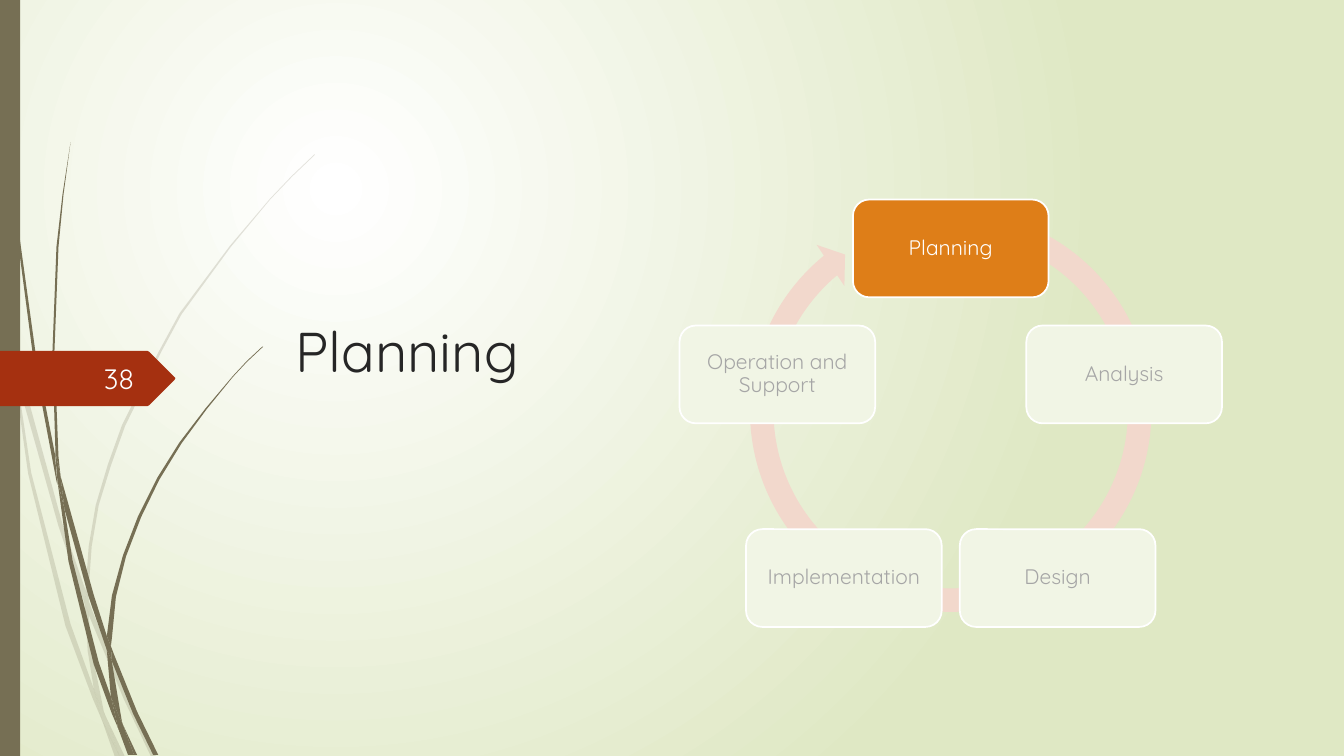
from dataclasses import dataclass
from math import cos, radians, sin

from lxml.etree import SubElement
from pptx import Presentation
from pptx.dml.color import RGBColor
from pptx.enum.shapes import MSO_SHAPE as Shape
from pptx.enum.text import MSO_ANCHOR as Anchor, PP_ALIGN as Align
from pptx.oxml.ns import qn
from pptx.util import Pt

PX = 9144  # EMU in one px, at 100 px to the inch
WIDTH, HEIGHT = 1333, 750


@dataclass(frozen=True)
class Theme:
    font: str = "Quicksand"
    title_size: int = 40
    number_size: int = 20
    stage_size: int = 15
    centre_glow: str = "FFFFFF"
    edge_green: str = "DFE8C4"
    grass: str = "766F54"
    flag: str = "A53010"
    dark_text: str = "262626"
    number_text: str = "FEFFFF"
    ring: str = "F2D8CC"
    active: str = "DE7E18"
    active_text: str = "FFFFFF"
    faded: str = "F1F5E5"
    faded_text: str = "A6A6A6"
    outline: str = "FFFFFF"


# Outlines of the grass pieces, as x, y pairs in px
PALE_GRASS = [
    [(11, 350), (9, 322), (0, 282), (0, 299), (10, 344)],
    [(58, 522), (84, 599), (85, 586), (62, 520), (14, 345), (17, 376)],
    [(92, 607), (88, 596), (88, 610), (123, 694), (150, 751), (155, 751), (127, 692)],
    [(119, 751), (124, 751), (105, 711)],
    [(93, 683), (70, 619), (31, 469), (17, 376), (11, 350), (28, 470), (65, 621),
     (92, 693), (101, 714), (99, 707)],
    [(84, 599), (87, 646), (93, 683), (96, 692), (105, 711), (103, 706), (91, 646),
     (88, 610), (88, 608)],
    [(88, 584), (91, 542), (98, 501), (110, 462), (124, 423), (160, 349), (180, 312),
     (229, 245), (268, 198), (290, 175), (312, 154), (312, 153), (289, 175), (268, 197),
     (228, 244), (178, 311), (158, 348), (121, 422), (107, 461), (95, 501), (88, 542),
     (85, 584), (85, 586), (88, 596)],
    [(101, 714), (114, 751), (119, 751)],
    [(88, 608), (88, 610), (88, 596), (85, 586), (84, 599)],
    [(96, 692), (93, 683), (99, 707), (101, 714), (119, 751), (105, 711)],
]
DARK_GRASS = [
    [(7, 110), (17, 233), (33, 355), (56, 477), (57, 481), (55, 457), (55, 453),
     (36, 355), (19, 232), (8, 109), (5, 48), (4, 0), (3, 0), (4, 48)],
    [(88, 592), (106, 645), (106, 633), (106, 631), (93, 590), (60, 472), (64, 505)],
    [(113, 649), (110, 641), (111, 656), (132, 708), (152, 749), (157, 749), (136, 706)],
    [(110, 691), (98, 657), (72, 556), (64, 505), (57, 477), (68, 557), (93, 659),
     (111, 708), (117, 722), (116, 717)],
    [(60, 472), (58, 453), (54, 349), (58, 245), (63, 193), (70, 141), (62, 193),
     (56, 245), (52, 349), (55, 449)],
    [(133, 749), (136, 749), (122, 719)],
    [(57, 477), (64, 505), (60, 472), (55, 449), (55, 453)],
    [(111, 633), (115, 592), (125, 552), (140, 513), (158, 476), (180, 440), (205, 406),
     (231, 374), (245, 359), (261, 344), (260, 344), (245, 358), (231, 373), (204, 405),
     (178, 439), (156, 474), (137, 512), (122, 551), (111, 591), (106, 631), (110, 641)],
    [(117, 722), (127, 749), (131, 749)],
    [(106, 645), (110, 691), (116, 706), (122, 719), (121, 716), (111, 656), (109, 651)],
    [(106, 645), (109, 651), (111, 656), (110, 641), (106, 631)],
    [(116, 706), (110, 691), (116, 717), (117, 722), (130, 749), (133, 749), (122, 719)],
]
FLAG = [(0, 348), (146, 348), (148, 349), (173, 374), (174, 375), (173, 377),
        (148, 402), (146, 403), (0, 403)]

STAGES = ["Planning", "Analysis", "Design", "Implementation", "Operation and Support"]
CYCLE_X, CYCLE_Y, CYCLE_RADIUS = 943, 427, 181
STAGE_W, STAGE_H = 194, 97


def write(frame, text, size, color, font, align=Align.LEFT, anchor=Anchor.MIDDLE,
          inset=None, line_spacing=None):
    frame.word_wrap = True
    frame.vertical_anchor = anchor
    if inset is not None:
        frame.margin_left = frame.margin_right = inset * PX
        frame.margin_top = frame.margin_bottom = inset * PX
    paragraph = frame.paragraphs[0]
    paragraph.alignment = align
    paragraph.line_spacing = line_spacing
    run = paragraph.add_run()
    run.text = text
    run.font.name = font
    run.font.size = Pt(size)
    run.font.color.rgb = RGBColor.from_string(color)


class SlideBuilder:
    def __init__(self, slide, theme):
        self.slide = slide
        self.theme = theme

    def paint(self, shape, fill, line=None, opacity=None):
        shape.shadow.inherit = False
        shape.fill.solid()
        shape.fill.fore_color.rgb = RGBColor.from_string(fill)
        if opacity is not None:
            color = shape._element.spPr.find(".//" + qn("a:srgbClr"))
            SubElement(color, qn("a:alpha"), val=str(opacity * 1000))
        if line:
            shape.line.color.rgb = RGBColor.from_string(line)
            shape.line.width = Pt(1.25)
        else:
            shape.line.fill.background()

    def background(self, inner, outer):
        """Radial glow centred a quarter of the way across and down."""
        fill = self.slide.background.fill
        fill.gradient()
        for stop, color in zip(fill.gradient_stops, (inner, outer)):
            stop.color.rgb = RGBColor.from_string(color)
        gradient = self.slide._element.find(".//" + qn("a:gradFill"))
        gradient.remove(gradient.find(qn("a:lin")))
        circle = SubElement(gradient, qn("a:path"), path="circle")
        SubElement(circle, qn("a:fillToRect"), l="50000", t="50000", r="100000", b="100000")

    def outline(self, points, fill, opacity=None):
        builder = self.slide.shapes.build_freeform(*points[0], scale=PX)
        builder.add_line_segments(points[1:], close=True)
        self.paint(builder.convert_to_shape(), fill, opacity=opacity)

    def preset(self, kind, box, fill, line=None):
        shape = self.slide.shapes.add_shape(kind, *(n * PX for n in box))
        self.paint(shape, fill, line)
        return shape

    def label(self, text, box, size, color, **text_format):
        frame = self.slide.shapes.add_textbox(*(n * PX for n in box)).text_frame
        write(frame, text, size, color, self.theme.font, **text_format)

    def ring(self, box):
        arrow = self.preset(Shape.CIRCULAR_ARROW, box, self.theme.ring)
        for index, value in enumerate((0.055, 3.307, 138.3, 173.532, 0.058)):
            arrow.adjustments[index] = value

    def stage(self, name, angle, active):
        """Cycle box at an angle in degrees, clockwise from the top."""
        theme = self.theme
        left = round(CYCLE_X + CYCLE_RADIUS * sin(radians(angle)) - STAGE_W / 2)
        top = round(CYCLE_Y - CYCLE_RADIUS * cos(radians(angle)) - STAGE_H / 2)
        box = self.preset(Shape.ROUNDED_RECTANGLE, (left, top, STAGE_W, STAGE_H),
                          theme.active if active else theme.faded, theme.outline)
        write(box.text_frame, name, theme.stage_size,
              theme.active_text if active else theme.faded_text, theme.font,
              align=Align.CENTER, inset=6, line_spacing=0.9)


def main():
    deck = Presentation()
    deck.slide_width, deck.slide_height = WIDTH * PX, HEIGHT * PX
    theme = Theme()
    page = SlideBuilder(deck.slides.add_slide(deck.slide_layouts[6]), theme)

    page.background(theme.centre_glow, theme.edge_green)
    for pieces, opacity in ((PALE_GRASS, 20), (DARK_GRASS, None)):
        for piece in pieces:
            page.outline(piece, theme.grass, opacity)
    page.preset(Shape.RECTANGLE, (0, 0, 20, HEIGHT), theme.grass)
    page.outline(FLAG, theme.flag)

    page.label("Planning", (283, 225, 975, 161), theme.title_size, theme.dark_text,
               anchor=Anchor.BOTTOM)
    page.label("38", (58, 355, 85, 40), theme.number_size, theme.number_text,
               align=Align.RIGHT)

    page.ring((731, 196, 424, 424))
    for index, name in enumerate(STAGES):
        page.stage(name, index * 360 / len(STAGES), active=name == "Planning")

    deck.save("out.pptx")


if __name__ == "__main__":
    main()
